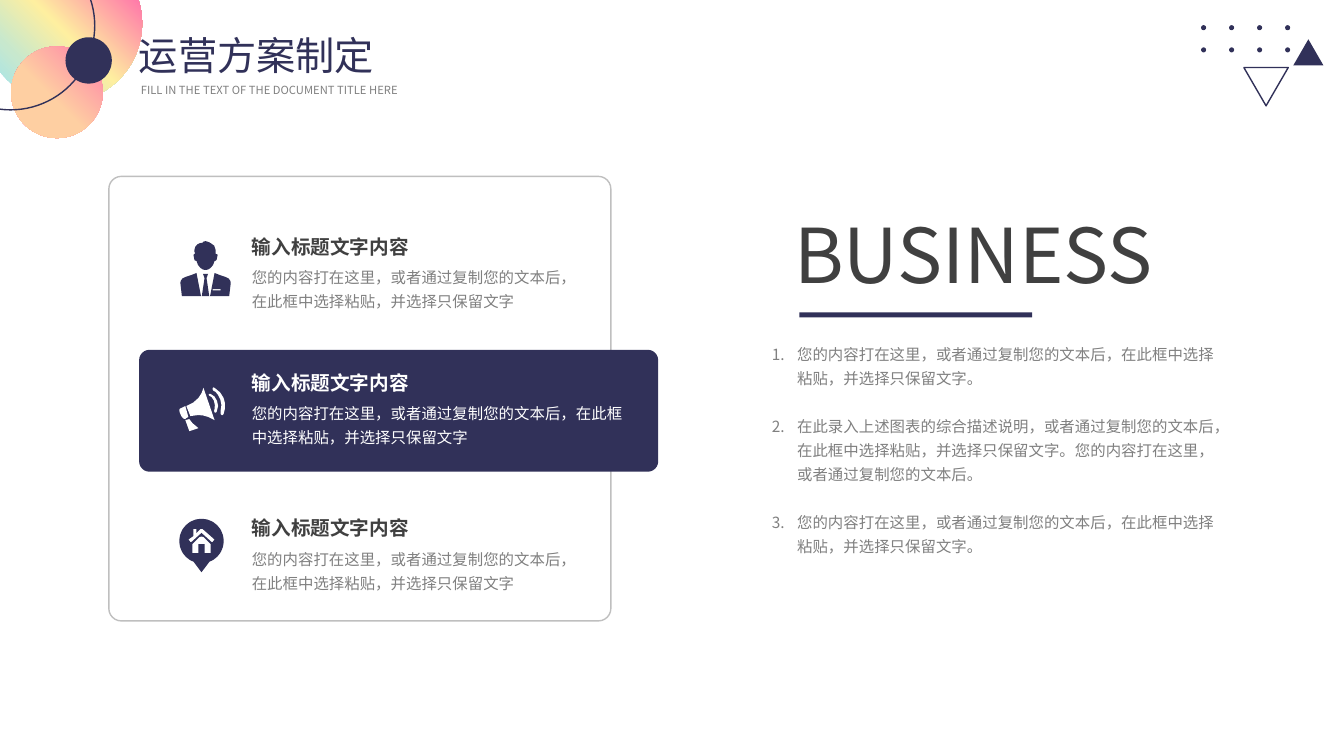
from math import cos, radians, sin
from lxml.etree import SubElement
from pptx import Presentation
from pptx.dml.color import RGBColor
from pptx.enum.shapes import MSO_SHAPE as Preset
from pptx.oxml.ns import qn
from pptx.util import Inches, Pt

COLORS = {"navy": "313159", "dark": "404040", "gray": "808080", "border": "BFBFBF", "white": "FFFFFF",
          "aqua": "A3E4EC", "mint": "C7E8CE", "yellow": "FEEFA0", "pink": "FF7CA9", "peach": "FECFA2"}
FONT = "Noto Sans CJK SC"
CELL = Inches(0.1)
COLUMNS, ROWS = 133.33, 75

presentation = Presentation()
presentation.slide_width = int(COLUMNS * CELL)
presentation.slide_height = ROWS * CELL
slide = presentation.slides.add_slide(presentation.slide_layouts[6])


def add_block(preset, column, row, columns, rows, fill=None, line=None):
    shape = slide.shapes.add_shape(preset, *(int(n * CELL) for n in (column, row, columns, rows)))
    shape.shadow.inherit = False
    if fill:
        shape.fill.solid()
        shape.fill.fore_color.rgb = RGBColor.from_string(COLORS[fill])
    else:
        shape.fill.background()
    if line:
        shape.line.color.rgb = RGBColor.from_string(COLORS[line])
        shape.line.width = Pt(1)
    else:
        shape.line.fill.background()
    return shape


def add_text(column, row, columns, rows, lines, size, color, bold=False, spacing=1, wrap=True, numbered=False):
    box = slide.shapes.add_textbox(*(int(n * CELL) for n in (column, row, columns, rows)))
    box.text_frame.word_wrap = wrap
    box.text_frame.text = "\n".join(lines)
    for index, paragraph in enumerate(box.text_frame.paragraphs):
        paragraph.line_spacing = spacing
        if numbered:
            properties = paragraph._p.get_or_add_pPr()
            properties.set("marL", str(Inches(0.25)))
            properties.set("indent", str(-Inches(0.25)))
            SubElement(properties, qn("a:buFont"), typeface="+mj-lt")
            SubElement(properties, qn("a:buAutoNum"), type="arabicPeriod")
            if index:
                paragraph.space_before = Pt(17.15)
        paragraph.font.size = Pt(size)
        paragraph.font.bold = bold
        paragraph.font.color.rgb = RGBColor.from_string(COLORS[color])
        paragraph.font.name = FONT
        SubElement(paragraph._p.pPr.find(qn("a:defRPr")), qn("a:ea"), typeface=FONT)


large_circle = add_block(Preset.OVAL, -1.6, -5.5, 15.7, 15.7)
small_circle = add_block(Preset.OVAL, 1.1, 4.6, 9.1, 9.1)
gradients = [
    (large_circle, [(7, "aqua"), (25, "mint"), (48, "yellow"), (81, "pink")]),
    (small_circle, [(44, "peach"), (100, "pink")]),
]
for circle, stops in gradients:
    circle.fill.gradient()
    gradient = circle._element.spPr.find(qn("a:gradFill"))
    for child in list(gradient):
        gradient.remove(child)
    stop_list = SubElement(gradient, qn("a:gsLst"))
    for position, color in stops:
        stop = SubElement(stop_list, qn("a:gs"), pos=str(position * 1000))
        SubElement(stop, qn("a:srgbClr"), val=COLORS[color])
    if circle is large_circle:
        SubElement(gradient, qn("a:lin"), ang=str(315 * 60000), scaled="0")
    else:
        radial = SubElement(gradient, qn("a:path"), path="circle")
        SubElement(radial, qn("a:fillToRect"), t="100000", r="100000")

add_block(Preset.OVAL, 6.5, 3.7, 4.6, 4.6, fill="navy")
add_block(Preset.OVAL, -7.3, -5.8, 16.7, 16.7, line="navy")
for dot_column in range(4):
    for dot_row in range(2):
        add_block(Preset.OVAL, 119.15 + 2.78 * dot_column, 2.5 + 2.2 * dot_row, 0.5, 0.5, fill="navy")
outlined_triangle = add_block(Preset.ISOSCELES_TRIANGLE, 123.4, 6.7, 4.4, 3.8, line="navy")
outlined_triangle.rotation = 180
add_block(Preset.ISOSCELES_TRIANGLE, 128.3, 3.9, 3, 2.6, fill="navy")

add_text(12.8, 2.6, 27.9, 5.7, ["运营方案制定"], 28, "navy")
add_text(13, 7.8, 27.7, 2.4, ["FILL IN THE TEXT OF THE DOCUMENT TITLE HERE"], 8, "gray", wrap=False)

frame = add_block(Preset.ROUNDED_RECTANGLE, 10.8, 17.5, 49.8, 44.1, line="border")
frame.adjustments[0] = 0.028
highlight = add_block(Preset.ROUNDED_RECTANGLE, 13.8, 34.7, 51.5, 12.1, fill="navy")
highlight.adjustments[0] = 0.086

items = [(22.8, 34.7, "dark", "gray"), (36.3, 40, "white", "white"), (50.7, 34.7, "dark", "gray")]
for row, columns, title_color, body_color in items:
    add_text(24, row, 17.7, 3.4, ["输入标题文字内容"], 14, title_color, bold=True)
    add_text(24, row + 2.8, columns, 5.4, ["您的内容打在这里，或者通过复制您的文本后，在此框中选择粘贴，并选择只保留文字"],
             11, body_color, spacing=1.3)

add_text(77.8, 20.1, 39.9, 10.1, ["BUSINESS"], 54, "dark", wrap=False)
add_block(Preset.RECTANGLE, 79.3, 31, 23.1, 0.5, fill="navy")
short_note = "您的内容打在这里，或者通过复制您的文本后，在此框中选择粘贴，并选择只保留文字。"
long_note = ("在此录入上述图表的综合描述说明，或者通过复制您的文本后，在此框中选择粘贴，并选择只保留文字。"
             "您的内容打在这里，或者通过复制您的文本后。")
add_text(75.6, 33.2, 46.3, 22.3, [short_note, long_note, short_note], 11, "gray", spacing=1.3, numbered=True)

businessman = [
    [(213, 259), (211.5, 263), (209, 266), (206.5, 267.6), (204, 268), (201.5, 267.6), (199, 266), (196.5, 263),
     (195, 259), (193.5, 258.7), (193, 258), (192, 253), (193, 252), (193.7, 251.5), (193, 250), (193, 248),
     (193.8, 245), (196, 242.5), (198.5, 241.3), (201, 241), (202, 239.8), (204, 239.4), (206, 239.9),
     (208, 240.7), (210, 242), (212.5, 243.8), (214, 248), (214, 252), (215.5, 252.5), (216, 253),
     (215, 258), (214, 258.8)],
    [(211, 287), (219, 287), (219, 288.3), (211, 288.3)],
    [(201.5, 272), (206.5, 272), (205, 276), (207.7, 294), (200.3, 294), (203, 276)],
    [(180.5, 294), (179, 281), (179.3, 279), (181, 276.5), (184, 275), (190, 273), (195, 271), (199.5, 294)],
    [(227.5, 294), (208.5, 294), (213, 271), (218, 273), (224, 275), (227, 276.5), (228.7, 279), (229, 281)],
]
megaphone = [
    [(185, 403), (192, 399.5), (197, 395), (200, 390.5), (202, 385), (213, 417), (207, 414), (202, 412.5),
     (197, 412), (189, 413)],
    [(209, 391), (213, 393.7), (215.5, 398), (216.5, 403), (215, 409), (214, 409.7), (213, 409.3), (212.6, 408),
     (213, 406), (213.3, 402), (212.3, 397.5), (210, 394), (208, 393), (207.2, 392), (207.5, 391)],
    [(213, 385), (218.5, 389.5), (222, 395), (223.3, 400), (223.3, 405.5), (222, 411), (221, 412), (220, 412),
     (219, 411), (219, 408), (219.8, 402), (218.7, 396.5), (216.5, 392), (214, 389), (212, 388), (211, 386.5),
     (211.3, 385), (212, 384.5)],
    [(185, 415), (184, 416), (182, 415.5), (180, 413), (178.3, 409), (178, 407), (178.5, 405.7), (180, 405),
     (184, 403), (187, 414)],
    [(188, 416), (191, 420), (197, 425), (188, 428), (184, 417)],
]
pin_outline = [(200 + 22 * cos(radians(a)), 537 + 22 * sin(radians(a))) for a in range(111, 430, 6)]
home_pin = [
    pin_outline + [(200, 568)],
    [(191, 540), (191, 549), (197, 549), (197, 540), (203, 540), (203, 549), (209, 549), (209, 540),
     (202, 533), (200, 532.5), (198, 533)],
    [(195, 525), (192, 525), (192, 532), (187, 535.5), (189, 538), (190, 538), (200, 529), (210, 538),
     (211, 538), (213, 535.5), (201, 525), (199, 525), (195, 529)],
]
for contours, color in [(businessman, "navy"), (home_pin, "navy"), (megaphone, "white")]:
    scaled = [[(10 * x, 10 * y) for x, y in contour] for contour in contours]
    builder = slide.shapes.build_freeform(*scaled[0][0], scale=Inches(0.001))
    for index, contour in enumerate(scaled):
        if index:
            builder.move_to(*contour[0])
        builder.add_line_segments(contour[1:], close=True)
    icon = builder.convert_to_shape()
    icon.shadow.inherit = False
    icon.fill.solid()
    icon.fill.fore_color.rgb = RGBColor.from_string(COLORS[color])
    icon.line.fill.background()

presentation.save("out.pptx")
